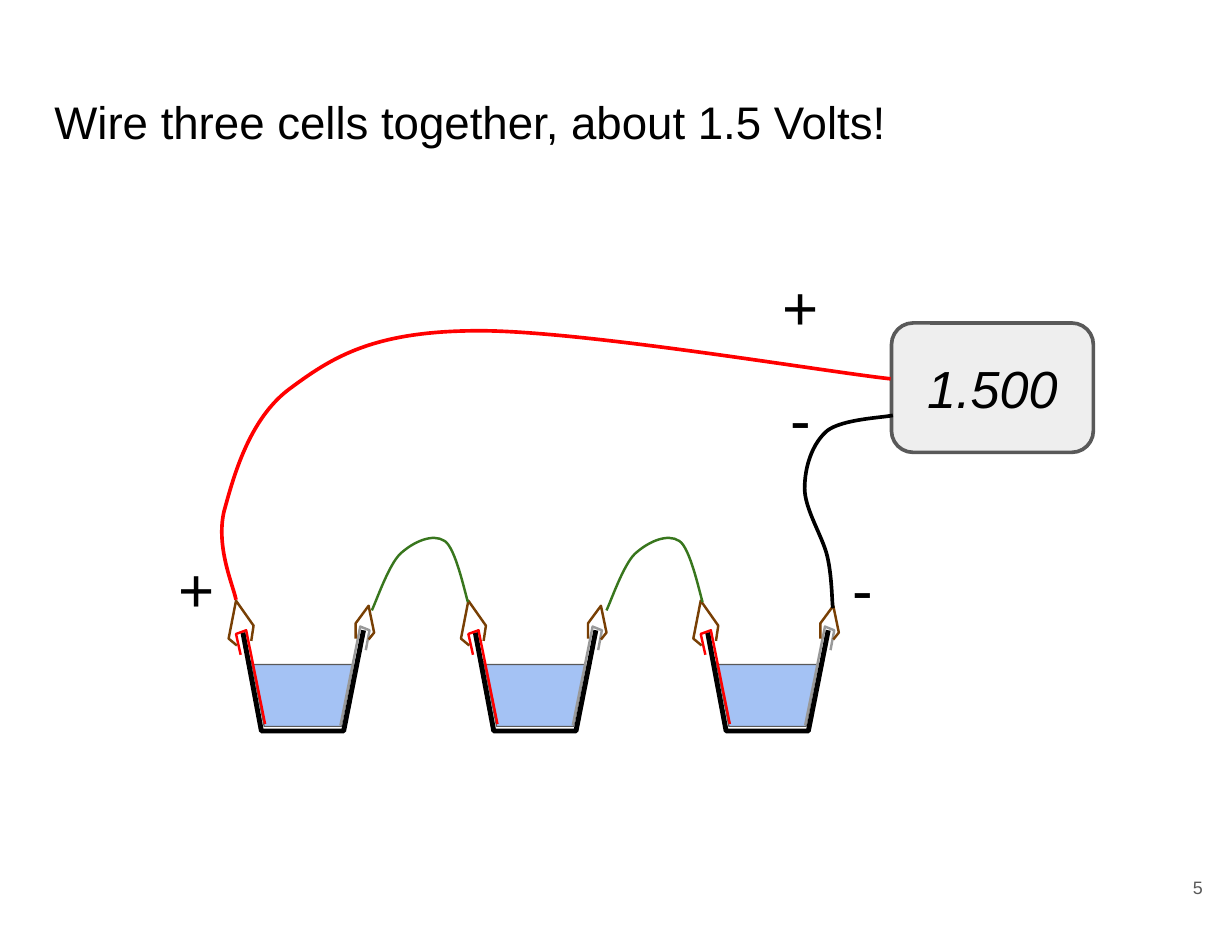
"""Build a slide showing three cells wired in series to a voltmeter."""
import lxml.etree
import pptx
import pptx.dml.color
import pptx.enum.shapes
import pptx.enum.text
import pptx.oxml.ns
import pptx.util

Cm = pptx.util.Cm
Pt = pptx.util.Pt
RGBColor = pptx.dml.color.RGBColor
ALIGN = pptx.enum.text.PP_ALIGN
ANCHOR = pptx.enum.text.MSO_ANCHOR
qn = pptx.oxml.ns.qn

BLACK = RGBColor(0x00, 0x00, 0x00)
RED = RGBColor(0xFF, 0x00, 0x00)
GREEN = RGBColor(0x38, 0x76, 0x1D)
BROWN = RGBColor(0x78, 0x3F, 0x04)
ZINC = RGBColor(0x99, 0x99, 0x99)
SLATE = RGBColor(0x59, 0x59, 0x59)
WATER = RGBColor(0xA4, 0xC2, 0xF4)
PANEL = RGBColor(0xEE, 0xEE, 0xEE)

CELL_COUNT = 3
CELL_PITCH = 5.03
JUMPER_PITCH = 5.08

CELL_PARTS = [
    ([(5.44, 14.3), (5.72, 15.72), (7.39, 15.72), (7.65, 14.38), (5.46, 14.38)], SLATE, 0.75, WATER),
    ([(5.26, 13.69), (5.66, 15.82), (7.44, 15.82), (7.87, 13.64)], BLACK, 3, None),
    ([(5.21, 14.17), (5.11, 13.72), (5.33, 13.64), (5.74, 15.67)], RED, 1.5, None),
    ([(7.92, 14.07), (8, 13.64), (7.8, 13.56), (7.37, 15.7)], ZINC, 1.5, None),
    ([(7.7, 13.82), (7.7, 13.49), (7.98, 13.11), (8.1, 13.69), (7.98, 13.84)], BROWN, 1.5, None),
    ([(5.44, 13.87), (5.49, 13.54), (5.11, 13), (4.95, 13.82), (5.13, 13.97)], BROWN, 1.5, None),
]
JUMPER = [
    (8.05, 13.21), (8.15, 13), (8.41, 12.24), (8.66, 11.99), (8.94, 11.73),
    (9.37, 11.53), (9.63, 11.71), (9.86, 11.86), (10.06, 12.8), (10.13, 13.03),
]
PLUS_LEAD = [
    (19.28, 8.2), (17.75, 8.03), (12.34, 7.11), (10.19, 7.16), (8, 7.19),
    (7.14, 7.77), (6.25, 8.43), (5.38, 9.09), (5.05, 10.34), (4.85, 11.07),
    (4.67, 11.84), (5.05, 12.67), (5.11, 12.98),
]
MINUS_LEAD = [
    (19.33, 8.99), (19.1, 9.04), (18.24, 9.07), (17.91, 9.32), (17.58, 9.6),
    (17.42, 10.11), (17.42, 10.57), (17.42, 11.02), (17.81, 11.61), (17.91, 12.04),
    (18.01, 12.47), (18.01, 12.98), (18.03, 13.16),
]
POLARITY_SIGNS = [("+", 16.51, 5.54), ("-", 16.51, 7.95), ("+", 3.43, 11.63), ("-", 17.86, 11.63)]


def write(frame, text, size, color=BLACK, align=ALIGN.LEFT, anchor=ANCHOR.TOP, italic=False):
    """Put formatted text into a text frame."""
    frame.word_wrap = True
    frame.vertical_anchor = anchor
    frame.margin_left = frame.margin_right = Cm(0.28)
    frame.margin_top = frame.margin_bottom = Cm(0.28)
    paragraph = frame.paragraphs[0]
    paragraph.alignment = align
    run = paragraph.add_run()
    run.text = text
    run.font.name = "Arial"
    run.font.size = Pt(size)
    run.font.italic = italic
    run.font.color.rgb = color


class Diagram:
    """Hold the style and the current slide."""

    def __init__(self, slide):
        self.shapes = slide.shapes

    def paint(self, shape, line, width, fill=None):
        shape.shadow.inherit = False
        if fill is None:
            shape.fill.background()
        else:
            shape.fill.solid()
            shape.fill.fore_color.rgb = fill
        shape.line.color.rgb = line
        shape.line.width = Pt(width)

    def label(self, text, left, top, width, height, **style):
        box = self.shapes.add_textbox(Cm(left), Cm(top), Cm(width), Cm(height))
        write(box.text_frame, text, **style)

    def outline(self, shapes, points, line, width, fill=None, shift=0):
        first, *rest = [(Cm(x + shift), Cm(y)) for x, y in points]
        builder = shapes.build_freeform(*first)
        builder.add_line_segments(rest, close=False)
        shape = builder.convert_to_shape()
        self.paint(shape, line, width, fill)
        return shape

    def wire(self, controls, color, width, shift=0):
        """Join every third point, then bend each segment by the two points between."""
        lead = self.outline(self.shapes, controls[::3], color, width, shift=shift)
        for index, segment in enumerate(list(lead.element.iter(qn("a:lnTo")))):
            curve = lxml.etree.Element(qn("a:cubicBezTo"))
            for x, y in controls[3 * index + 1:3 * index + 3]:
                handle = lxml.etree.SubElement(curve, qn("a:pt"))
                handle.set("x", str(Cm(x + shift) - lead.left))
                handle.set("y", str(Cm(y) - lead.top))
            curve.append(segment[0])
            segment.getparent().replace(segment, curve)

    def cell(self, shift):
        group = self.shapes.add_group_shape()
        for points, line, width, fill in CELL_PARTS:
            self.outline(group.shapes, points, line, width, fill, shift)

    def meter(self, reading, left, top, width, height):
        body = self.shapes.add_shape(
            pptx.enum.shapes.MSO_SHAPE.ROUNDED_RECTANGLE, Cm(left), Cm(top), Cm(width), Cm(height)
        )
        self.paint(body, SLATE, 2.25, PANEL)
        write(body.text_frame, reading, 32, align=ALIGN.CENTER, anchor=ANCHOR.MIDDLE, italic=True)


def main():
    """Lay out the circuit and save it."""
    deck = pptx.Presentation()
    deck.slide_width, deck.slide_height = Cm(26.67), Cm(20.32)
    diagram = Diagram(deck.slides.add_slide(deck.slide_layouts[6]))

    diagram.label("Wire three cells together, about 1.5 Volts!", 0.9, 1.75, 24.84, 2.26, size=28)
    for position in range(CELL_COUNT):
        diagram.cell(position * CELL_PITCH)
    for position in range(CELL_COUNT - 1):
        diagram.wire(JUMPER, GREEN, 1.5, position * JUMPER_PITCH)
    diagram.meter("1.500", 19.3, 6.99, 4.37, 2.8)
    diagram.wire(PLUS_LEAD, RED, 2.25)
    diagram.wire(MINUS_LEAD, BLACK, 2.25)
    for sign, left, top in POLARITY_SIGNS:
        diagram.label(sign, left, top, 1.65, 3.18, size=38, align=ALIGN.CENTER)
    diagram.label("5", 24.72, 18.42, 1.6, 1.55, size=11, color=SLATE,
                  align=ALIGN.RIGHT, anchor=ANCHOR.MIDDLE)
    deck.save("out.pptx")


if __name__ == "__main__":
    main()
